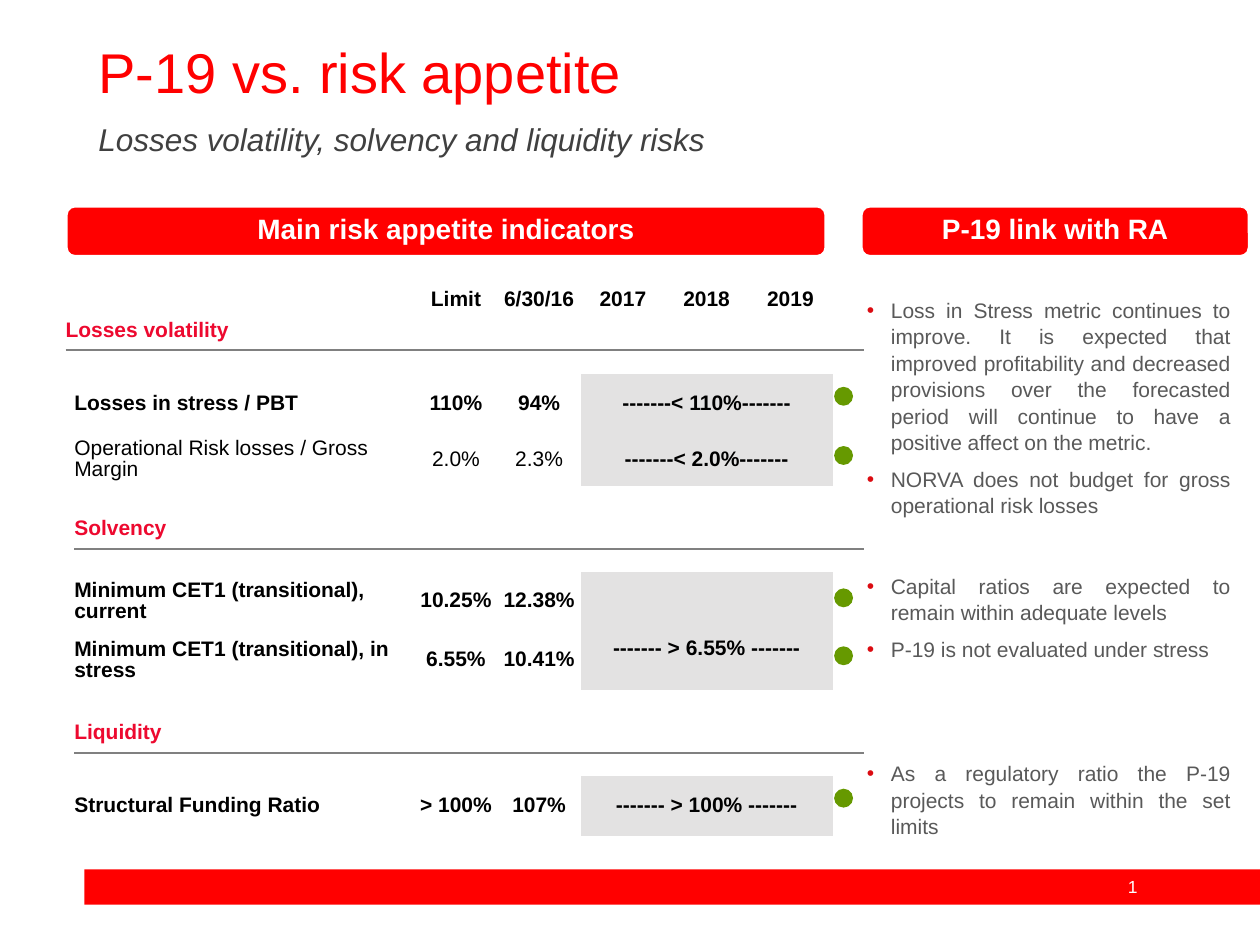
from lxml.etree import SubElement
from pptx import Presentation
from pptx.dml.color import RGBColor
from pptx.enum.shapes import MSO_SHAPE as Shape
from pptx.enum.text import MSO_ANCHOR as Anchor, MSO_AUTO_SIZE as AutoSize, PP_ALIGN as Align
from pptx.oxml import parse_xml
from pptx.oxml.ns import nsdecls, qn
from pptx.util import Inches, Pt

RED = RGBColor(0xFF, 0x00, 0x00)
SECTION_RED = RGBColor(0xED, 0x09, 0x2F)
BULLET_RED = RGBColor(0xDB, 0x0B, 0x11)
GREEN = RGBColor(0x66, 0x99, 0x00)
WHITE = RGBColor(0xFF, 0xFF, 0xFF)
BLACK = RGBColor(0x00, 0x00, 0x00)
DARK_GREY = RGBColor(0x40, 0x40, 0x40)
TEXT_GREY = RGBColor(0x59, 0x59, 0x59)
RULE_GREY = RGBColor(0x80, 0x80, 0x80)
PANEL_GREY = RGBColor(0xE3, 0xE2, 0xE2)

FONT = "Arial"
NO_GRID_STYLE = "{2D5ABB26-0587-4C30-8999-92F81FD0307C}"

COLUMNS = [0.07, 2.66, 0.03, 0.66, 0.66, 0.67, 0.66, 0.67, 0.25]
ROWS = [0.19, 0.3, 0.19, 0.47, 0.42, 0.19, 0.31, 0.18, 0.47, 0.47, 0.19, 0.31, 0.18, 0.48]
LABEL, LIMIT, ACTUAL, FIRST_YEAR, LAST_YEAR = 1, 3, 4, 5, 7

HEADERS = ["Limit", "6/30/16", "2017", "2018", "2019"]
# row: (first column, last column of the heading, heading)
SECTIONS = {1: (0, 1, "Losses volatility"), 6: (1, 2, "Solvency"), 11: (1, 2, "Liquidity")}
# row: (label, limit, actual, forecast, bold)
INDICATORS = {
    3: ("Losses in stress / PBT", "110%", "94%", "-------< 110%-------", True),
    4: ("Operational Risk losses / Gross Margin", "2.0%", "2.3%", "-------< 2.0%-------", False),
    8: ("Minimum CET1 (transitional), current", "10.25%", "12.38%", "", True),
    9: ("Minimum CET1 (transitional), in stress", "6.55%", "10.41%", "------- > 6.55% -------", True),
    13: ("Structural Funding Ratio", "> 100%", "107%", "------- > 100% -------", True),
}
DOT_TOPS = [3.07, 3.54, 4.67, 5.13, 6.26]

# top of each list and its points
COMMENTS = [
    (2.3, ["Loss in Stress metric continues to improve. It is expected that improved "
           "profitability and decreased provisions over the forecasted period will "
           "continue to have a positive affect on the metric.",
           "NORVA does not budget for gross operational risk losses"]),
    (4.49, ["Capital ratios are expected to remain within adequate levels",
            "P-19 is not evaluated under stress"]),
    (5.98, ["As a regulatory ratio the P-19 projects to remain within the set limits"]),
]


def style_runs(paragraph, size, color, bold=False, italic=False):
    for run in paragraph.runs:
        font = run.font
        font.name, font.size, font.bold, font.italic = FONT, Pt(size), bold, italic
        font.color.rgb = color


def place(shape, left, top, width, height):
    shape.left, shape.top = Inches(left), Inches(top)
    shape.width, shape.height = Inches(width), Inches(height)


def add_filled_shape(slide, kind, left, top, width, height, color):
    shape = slide.shapes.add_shape(
        kind, Inches(left), Inches(top), Inches(width), Inches(height))
    shape.shadow.inherit = False
    shape.fill.solid()
    shape.fill.fore_color.rgb = color
    shape.line.fill.background()
    return shape


def add_banner(slide, left, width, text):
    banner = add_filled_shape(slide, Shape.ROUNDED_RECTANGLE, left, 1.64, width, 0.39, RED)
    banner.line.color.rgb = WHITE
    banner.line.width = Pt(1)
    frame = banner.text_frame
    frame.text = text
    frame.vertical_anchor = Anchor.MIDDLE
    paragraph = frame.paragraphs[0]
    paragraph.alignment = Align.CENTER
    paragraph.line_spacing = Pt(16)
    style_runs(paragraph, 16, WHITE, bold=True)


def add_footer(slide):
    add_filled_shape(slide, Shape.RECTANGLE, 0.67, 6.9, 9.33, 0.28, RED)
    box = slide.shapes.add_textbox(Inches(8.71), Inches(6.9), Inches(0.56), Inches(0.27))
    box.text_frame.word_wrap = True
    paragraph = box.text_frame.paragraphs[0]
    paragraph.alignment = Align.CENTER
    paragraph._p.append(parse_xml(
        f'<a:fld {nsdecls("a")} id="{{B6F15528-21DE-4FAA-801E-634DDDAF4B2B}}" type="slidenum">'
        f'<a:rPr lang="en-US" sz="1000"><a:solidFill><a:srgbClr val="{WHITE}"/></a:solidFill>'
        f'<a:latin typeface="{FONT}"/></a:rPr><a:t>1</a:t></a:fld>'))


def fill_heading(placeholder, top, height, text, size, color, italic=False):
    place(placeholder, 0.68, top, 8.62, height)
    frame = placeholder.text_frame
    frame.text = text
    frame.auto_size = AutoSize.NONE
    frame.vertical_anchor = Anchor.TOP
    paragraph = frame.paragraphs[0]
    paragraph.alignment = Align.LEFT
    paragraph.line_spacing = 0.9
    paragraph.space_before = Pt(0)
    style_runs(paragraph, size, color, italic=italic)


def add_bullet(paragraph):
    properties = paragraph._p.get_or_add_pPr()
    properties.set("marL", str(Inches(0.19)))
    properties.set("indent", str(-Inches(0.19)))
    color = SubElement(properties, qn("a:buClr"))
    SubElement(color, qn("a:srgbClr"), val=str(BULLET_RED))
    SubElement(properties, qn("a:buFont"), typeface=FONT)
    SubElement(properties, qn("a:buChar"), char="•")


def fill_comments(placeholder, top, points):
    place(placeholder, 6.84, top, 3.03, 0.83)
    frame = placeholder.text_frame
    frame.text = "\n".join(points)
    frame.auto_size = AutoSize.NONE
    frame.vertical_anchor = Anchor.TOP
    frame.margin_left = Inches(0.04)
    for index, paragraph in enumerate(frame.paragraphs):
        add_bullet(paragraph)
        paragraph.alignment = Align.JUSTIFY
        paragraph.line_spacing = 1.05
        paragraph.space_before = Pt(6 if index else 0)
        style_runs(paragraph, 12, TEXT_GREY)


def write_cell(cell, text, alignment=Align.CENTER, color=BLACK, bold=True):
    cell.text = text
    paragraph = cell.text_frame.paragraphs[0]
    paragraph.alignment = alignment
    paragraph.line_spacing = 0.9
    style_runs(paragraph, 12, color, bold)


def underline_cell(cell):
    cell._tc.get_or_add_tcPr().insert(0, parse_xml(
        f'<a:lnB {nsdecls("a")} w="{Pt(1.5)}"><a:solidFill>'
        f'<a:srgbClr val="{RULE_GREY}"/></a:solidFill></a:lnB>'))


def clear_cell(cell):
    """Remove the margins and keep empty text from stretching the row."""
    cell.margin_left = cell.margin_right = cell.margin_top = cell.margin_bottom = 0
    cell.vertical_anchor = Anchor.MIDDLE
    cell.text_frame.paragraphs[0]._p.get_or_add_endParaRPr().set("sz", "500")


def add_indicator_table(slide):
    frame = slide.shapes.add_table(
        len(ROWS), len(COLUMNS), Inches(0.52), Inches(2.29),
        Inches(sum(COLUMNS)), Inches(sum(ROWS)))
    table = frame.table
    table.first_row = table.horz_banding = False
    table._tbl.tblPr.find(qn("a:tableStyleId")).text = NO_GRID_STYLE
    for column, width in zip(table.columns, COLUMNS):
        column.width = Inches(width)
    for row, height in zip(table.rows, ROWS):
        row.height = Inches(height)
    for cell in table.iter_cells():
        clear_cell(cell)

    for column, text in enumerate(HEADERS, LIMIT):
        write_cell(table.cell(0, column), text)

    for row, (first, last, text) in SECTIONS.items():
        for column in range(first, len(COLUMNS)):
            underline_cell(table.cell(row, column))
        table.cell(row, first).merge(table.cell(row, last))
        write_cell(table.cell(row, first), text, Align.LEFT, SECTION_RED)

    for row, (label, limit, actual, forecast, bold) in INDICATORS.items():
        write_cell(table.cell(row, LABEL), label, Align.LEFT, bold=bold)
        write_cell(table.cell(row, LIMIT), limit, bold=bold)
        write_cell(table.cell(row, ACTUAL), actual, bold=bold)
        for column in range(FIRST_YEAR, LAST_YEAR + 1):
            cell = table.cell(row, column)
            cell.fill.solid()
            cell.fill.fore_color.rgb = PANEL_GREY
        if forecast:
            table.cell(row, FIRST_YEAR).merge(table.cell(row, LAST_YEAR))
            write_cell(table.cell(row, FIRST_YEAR), forecast)
    # the stressed CET1 forecast sits a little above the middle of its row
    table.cell(9, FIRST_YEAR).margin_bottom = Inches(0.19)


def main():
    presentation = Presentation()
    presentation.slide_width, presentation.slide_height = Inches(10), Inches(7.5)
    comparison_layout = presentation.slide_layouts[4]
    slide = presentation.slides.add_slide(comparison_layout)
    title, subtitle, *lists = slide.placeholders

    add_footer(slide)
    fill_heading(title, 0.31, 0.57, "P-19 vs. risk appetite", 32, RED)
    fill_heading(subtitle, 0.94, 0.41, "Losses volatility, solvency and liquidity risks",
                 18, DARK_GREY, italic=True)
    add_banner(slide, 0.53, 6.02, "Main risk appetite indicators")
    add_banner(slide, 6.84, 3.07, "P-19 link with RA")
    add_indicator_table(slide)
    for top in DOT_TOPS:
        add_filled_shape(slide, Shape.OVAL, 6.62, top, 0.15, 0.15, GREEN)
    for placeholder, (top, points) in zip(lists, COMMENTS):
        fill_comments(placeholder, top, points)
    presentation.save("out.pptx")


if __name__ == "__main__":
    main()
